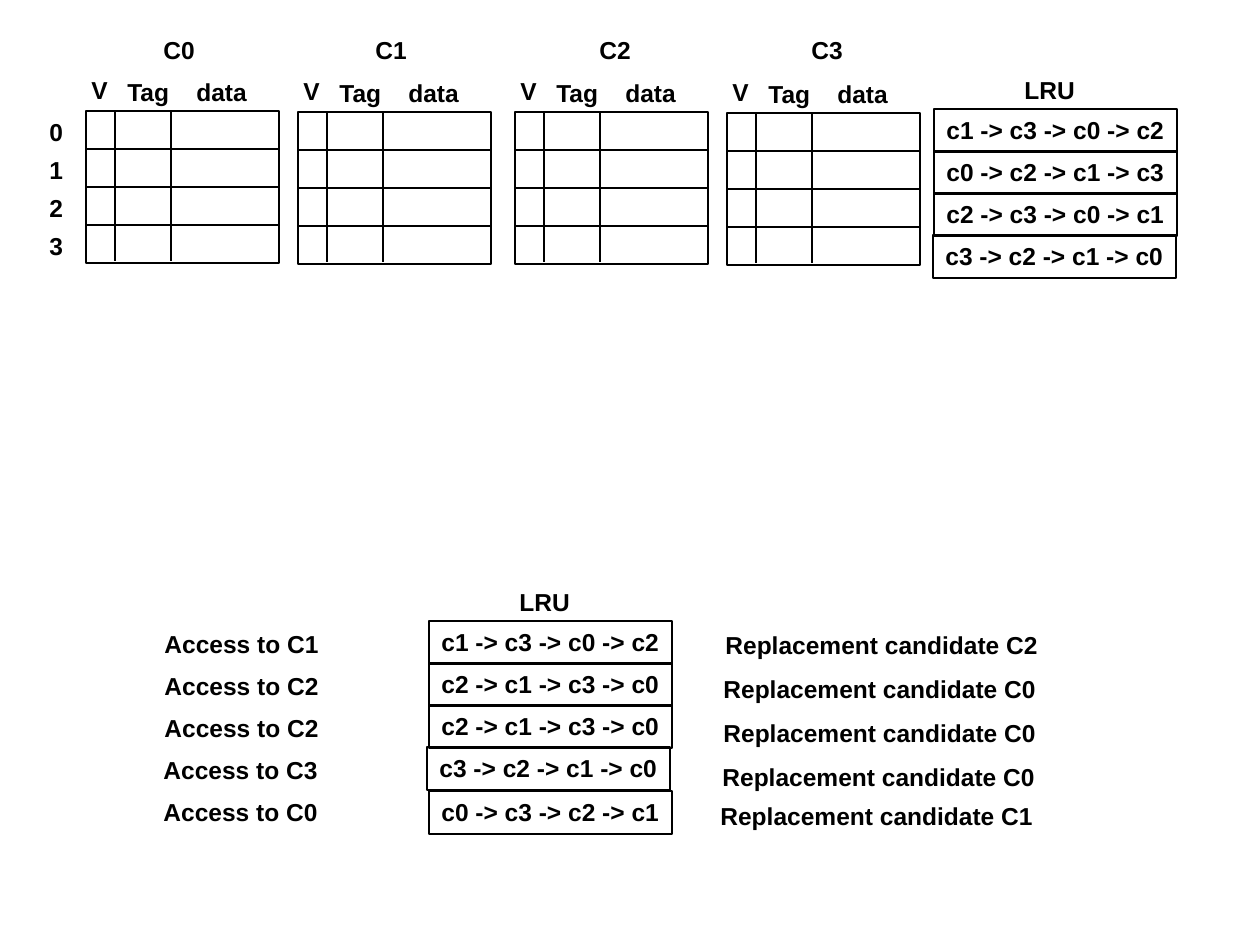
from lxml.etree import SubElement
from pptx import Presentation
from pptx.dml.color import RGBColor
from pptx.enum.shapes import MSO_CONNECTOR, MSO_SHAPE
from pptx.enum.text import MSO_ANCHOR, MSO_AUTO_SIZE, PP_ALIGN
from pptx.oxml.ns import qn
from pptx.util import Emu, Pt

EMU_PER_PX = 914400 / 126
COLORS = {"ink": "000000"}
TEXT_HEIGHT = 43
CACHE_WIDTH = 193
ROW_HEIGHT = 38
ROW_COUNT = 4
LRU_WIDTH = 243

CACHES = [
    ("C0", 86, 111, 151),
    ("C1", 298, 112, 363),
    ("C2", 515, 112, 587),
    ("C3", 727, 113, 799),
]
CACHE_COLUMNS = [("V", -7, -42, 42), ("Tag", 29, -40, 76), ("data", 98, -40, 90)]
SET_ORDERS = [
    (934, 109, "c1 -> c3 -> c0 -> c2"),
    (934, 151, "c0 -> c2 -> c1 -> c3"),
    (934, 193, "c2 -> c3 -> c0 -> c1"),
    (933, 235, "c3 -> c2 -> c1 -> c0"),
]
ACCESS_ORDERS = [
    (429, 621, "c1 -> c3 -> c0 -> c2"),
    (429, 663, "c2 -> c1 -> c3 -> c0"),
    (429, 705, "c2 -> c1 -> c3 -> c0"),
    (427, 747, "c3 -> c2 -> c1 -> c0"),
    (429, 791, "c0 -> c3 -> c2 -> c1"),
]
ACCESSES = [
    (152, 623, "C1"),
    (152, 665, "C2"),
    (152, 707, "C2"),
    (151, 749, "C3"),
    (151, 791, "C0"),
]
CANDIDATES = [
    (713, 624, "C2"),
    (711, 668, "C0"),
    (711, 712, "C0"),
    (710, 756, "C0"),
    (708, 795, "C1"),
]


def px(value):
    return Emu(round(value * EMU_PER_PX))


def color(name):
    return RGBColor.from_string(COLORS[name])


def write_text(shape, text, size=14, bold=True, ink="ink", wrap=False):
    frame = shape.text_frame
    frame.word_wrap = wrap
    frame.auto_size = MSO_AUTO_SIZE.SHAPE_TO_FIT_TEXT
    frame.vertical_anchor = MSO_ANCHOR.TOP
    paragraph = frame.paragraphs[0]
    paragraph.alignment = PP_ALIGN.LEFT
    run = paragraph.add_run()
    run.text = text
    run.font.name = "Arial"
    run.font.size = Pt(size)
    run.font.bold = bold
    run.font.color.rgb = color(ink)


def add_label(shapes, text, left, top, width, **text_format):
    box = shapes.add_textbox(px(left), px(top), px(width), px(TEXT_HEIGHT))
    write_text(box, text, **text_format)


def add_cell(shapes, left, top, width, height):
    cell = shapes.add_shape(
        MSO_SHAPE.RECTANGLE, px(left), px(top), px(width), px(height)
    )
    cell.shadow.inherit = False
    cell.fill.background()
    cell.line.color.rgb = color("ink")
    cell.line.width = Pt(0.75)
    return cell


def add_divider(shapes, x, top, bottom):
    divider = shapes.add_connector(
        MSO_CONNECTOR.STRAIGHT, px(x), px(top), px(x), px(bottom)
    )
    divider.line.color.rgb = color("ink")
    divider.line.width = Pt(0.75)
    SubElement(divider._element.spPr, qn("a:effectLst"))


def add_cache(shapes, name, left, top, name_left):
    for row in range(ROW_COUNT):
        add_cell(shapes, left, top + row * ROW_HEIGHT, CACHE_WIDTH, ROW_HEIGHT)
    for heading, dx, dy, width in CACHE_COLUMNS:
        add_label(shapes, heading, left + dx, top + dy, width)
    for dx in (29, 85):
        add_divider(shapes, left + dx, top + 1, top + 150)
    add_label(shapes, name, name_left, 29, 64)


def add_orders(shapes, orders, heading_left, heading_top):
    add_label(shapes, "LRU", heading_left, heading_top, 107, wrap=True)
    for left, top, order in orders:
        write_text(add_cell(shapes, left, top, LRU_WIDTH, TEXT_HEIGHT), order)


def add_statements(shapes, statements, lead, width):
    for left, top, target in statements:
        add_label(shapes, f"{lead} {target}", left, top, width)


def main():
    presentation = Presentation()
    presentation.slide_width = px(1260)
    presentation.slide_height = px(945)
    slide = presentation.slides.add_slide(presentation.slide_layouts[6])

    cache_shapes = slide.shapes.add_group_shape().shapes
    for cache in CACHES:
        add_cache(cache_shapes, *cache)
    for row in range(ROW_COUNT):
        add_label(cache_shapes, str(row), 37, 111 + row * ROW_HEIGHT, 40)
    add_orders(cache_shapes, SET_ORDERS, 1012, 69)

    access_shapes = slide.shapes.add_group_shape().shapes
    add_orders(access_shapes, ACCESS_ORDERS, 507, 581)
    add_statements(access_shapes, ACCESSES, "Access to", 184)
    add_statements(access_shapes, CANDIDATES, "Replacement candidate", 346)

    presentation.save("out.pptx")


if __name__ == "__main__":
    main()
